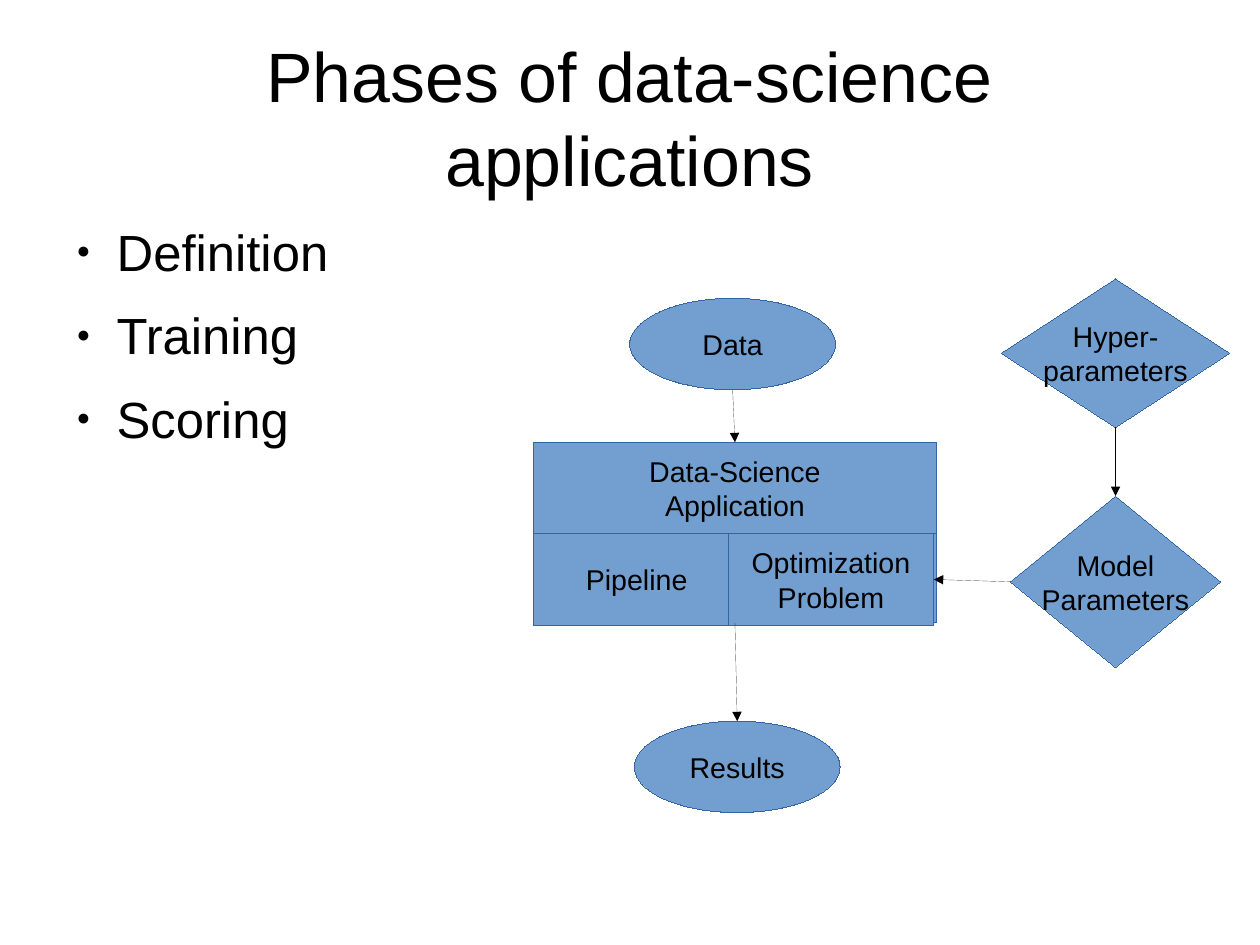
from dataclasses import dataclass

from lxml.etree import SubElement
from pptx import Presentation
from pptx.dml.color import RGBColor
from pptx.enum.shapes import MSO_CONNECTOR as Line, MSO_SHAPE as Form
from pptx.enum.text import MSO_ANCHOR as Anchor, MSO_AUTO_SIZE as Fit, PP_ALIGN as Align
from pptx.oxml.ns import qn
from pptx.util import Inches, Pt

FILL, OUTLINE, INK = "729FCF", "3465A4", "000000"
TITLE = "Phases of data-science\vapplications"
PHASES = ("Definition", "Training", "Scoring")
PLAIN_FRAME = {"margin_left": 0, "margin_right": 0, "margin_top": 0,
               "margin_bottom": 0, "word_wrap": True, "auto_size": Fit.NONE}
LABEL_FRAME = {"word_wrap": False, "vertical_anchor": Anchor.MIDDLE}
CENTRED = {"alignment": Align.CENTER, "space_before": Pt(0)}
LISTED = {"alignment": Align.LEFT, "space_before": Pt(0), "space_after": Pt(14.1)}


@dataclass(frozen=True)
class Node:
    form: Form
    left: float
    top: float
    width: float
    height: float
    label: str = ""

    def point(self, across: float, down: float) -> tuple[float, float]:
        return self.left + across * self.width, self.top + down * self.height


@dataclass(frozen=True)
class Arrow:
    start: tuple[float, float]
    end: tuple[float, float]


FRAME = Node(Form.RECTANGLE, 4.67, 4.65, 3.52, 0.8)
APPLICATION = Node(Form.RECTANGLE, 4.67, 3.87, 3.52, 0.8, "Data-Science\vApplication")
DATA = Node(Form.OVAL, 5.51, 2.61, 1.8, 0.8, "Data")
RESULTS = Node(Form.OVAL, 5.55, 6.31, 1.8, 0.8, "Results")
MODEL = Node(Form.DIAMOND, 8.84, 4.34, 1.84, 1.5, "Model\nParameters")
HYPER = Node(Form.DIAMOND, 8.76, 2.44, 2, 1.3, "Hyper-\nparameters")
PIPELINE = Node(Form.RECTANGLE, 4.67, 4.67, 1.8, 0.8, "Pipeline")
PROBLEM = Node(Form.RECTANGLE, 6.37, 4.67, 1.8, 0.8, "Optimization\vProblem")
NODES = (FRAME, APPLICATION, DATA, RESULTS, MODEL, HYPER, PIPELINE, PROBLEM)

TOP, LEFT, BOTTOM, RIGHT = (0.5, 0), (0, 0.5), (0.5, 1), (1, 0.5)
ARROWS = (
    Arrow(HYPER.point(*BOTTOM), MODEL.point(*TOP)),
    Arrow(MODEL.point(*LEFT), PROBLEM.point(*RIGHT)),
    Arrow(DATA.point(*BOTTOM), APPLICATION.point(*TOP)),
    Arrow(FRAME.point(*BOTTOM), RESULTS.point(*TOP)),
)


def colour(code: str) -> RGBColor:
    return RGBColor.from_string(code)


def apply(target, values: dict) -> None:
    for name, value in values.items():
        setattr(target, name, value)


def write(frame, text: str, size: float, frame_format: dict, para_format: dict) -> None:
    frame.text = text
    apply(frame, frame_format)
    for para in frame.paragraphs:
        apply(para, para_format)
        for span in para.runs:
            apply(span.font, {"name": "Arial", "size": Pt(size)})
            span.font.color.rgb = colour(INK)


def place(shape, left: float, top: float, width: float, height: float) -> None:
    apply(shape, {"left": Inches(left), "top": Inches(top),
                  "width": Inches(width), "height": Inches(height)})


def add_bullet(para) -> None:
    props = para._p.get_or_add_pPr()
    props.set("marL", str(Inches(0.47)))
    props.set("indent", str(Inches(-0.35)))
    SubElement(SubElement(props, qn("a:buClr")), qn("a:srgbClr"), val=INK)
    SubElement(props, qn("a:buSzPct"), val="45000")
    SubElement(props, qn("a:buFont"), typeface="Arial")
    SubElement(props, qn("a:buChar"), char="●")


def draw_hairline(shape, code: str):
    shape.line.color.rgb = colour(code)
    outline = shape.line._get_or_add_ln()
    outline.set("w", "0")
    return outline


def draw_node(page, node: Node) -> None:
    box = page.shapes.add_shape(node.form, Inches(node.left), Inches(node.top),
                                Inches(node.width), Inches(node.height))
    box.shadow.inherit = False
    box.fill.solid()
    box.fill.fore_color.rgb = colour(FILL)
    draw_hairline(box, OUTLINE)
    if node.label:
        write(box.text_frame, node.label, 18, LABEL_FRAME, CENTRED)


def draw_arrow(page, arrow: Arrow) -> None:
    ends = [Inches(value) for value in arrow.start + arrow.end]
    link = page.shapes.add_connector(Line.STRAIGHT, *ends)
    SubElement(draw_hairline(link, INK), qn("a:tailEnd"), type="triangle")
    SubElement(link._element.spPr, qn("a:effectLst"))


def main() -> None:
    deck = Presentation()
    deck.slide_width = Inches(28 / 2.54)
    deck.slide_height = Inches(21 / 2.54)
    page = deck.slides.add_slide(deck.slide_layouts[1])
    title, body = page.shapes.title, page.placeholders[1]

    place(title, 0.55, 0.33, 9.92, 1.38)
    write(title.text_frame, TITLE, 44,
          PLAIN_FRAME | {"vertical_anchor": Anchor.MIDDLE}, CENTRED)

    place(body, 0.55, 1.93, 4.84, 4.79)
    write(body.text_frame, "\n".join(PHASES), 32,
          PLAIN_FRAME | {"vertical_anchor": Anchor.TOP}, LISTED)
    for para in body.text_frame.paragraphs:
        add_bullet(para)

    for node in NODES:
        draw_node(page, node)
    for arrow in ARROWS:
        draw_arrow(page, arrow)
    deck.save("out.pptx")


if __name__ == "__main__":
    main()
